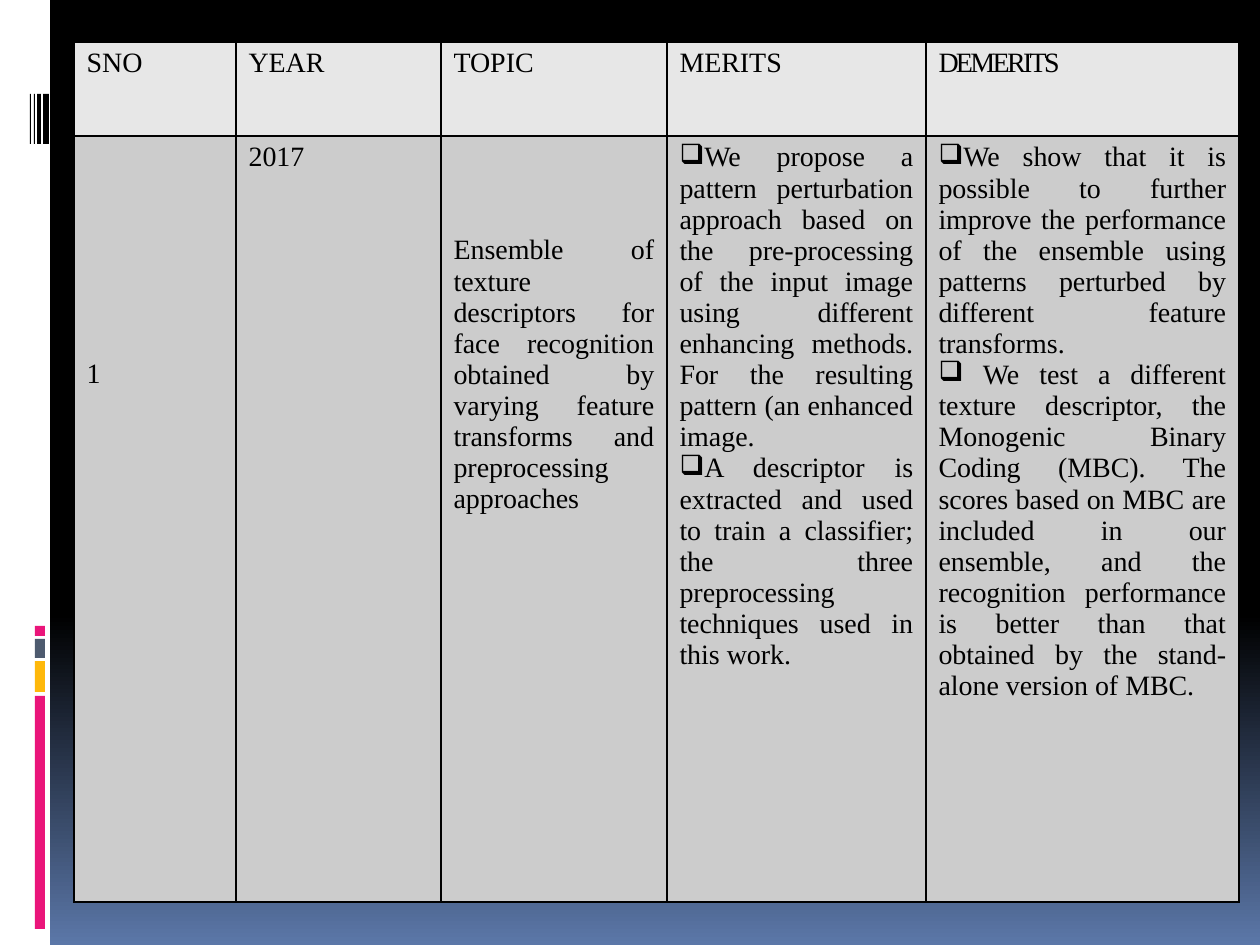
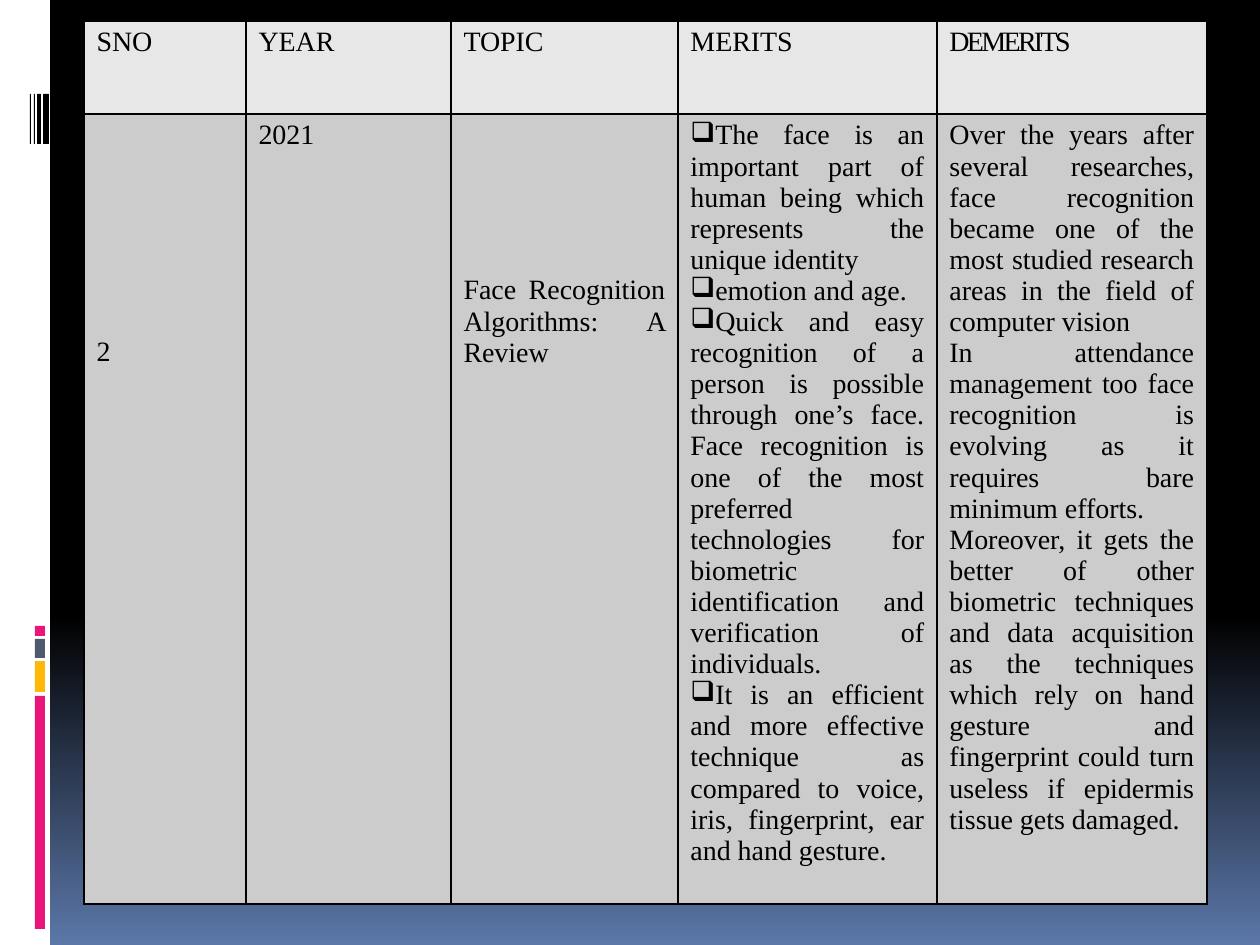
from copy import deepcopy

from lxml import etree
from pptx import Presentation
from pptx.dml.color import RGBColor
from pptx.enum.shapes import MSO_SHAPE
from pptx.enum.text import PP_ALIGN
from pptx.oxml.ns import qn
from pptx.util import Emu, Pt

PX = 914400 // 126
RECT = MSO_SHAPE.RECTANGLE
JUSTIFY = PP_ALIGN.JUSTIFY
BLACK = RGBColor(0x00, 0x00, 0x00)
WHITE = RGBColor(0xFF, 0xFF, 0xFF)
PINK = RGBColor(0xEA, 0x15, 0x7A)
AMBER = RGBColor(0xFE, 0xB8, 0x0A)
SLATE = RGBColor(0x4E, 0x5B, 0x6F)
BLUE = RGBColor(0x5B, 0x77, 0xA8)
HEAD_FILL = RGBColor(0xE7, 0xE7, 0xE7)
BODY_FILL = RGBColor(0xCC, 0xCC, 0xCC)

FONT = {"name": "Times New Roman", "size": Pt(16), "bold": False}
BULLET = "❑"
LINE = 31
INSET = 6
HEADS = ["SNO", "YEAR", "TOPIC", "MERITS", "DEMERITS"]
TIGHT = {"DEMERITS": "-150"}

SURVEYS = [
    {
        "box": (74, 42),
        "cols": [162, 205, 226, 259, 313],
        "rows": [94, 766],
        "skips": [7, 0, 3, 0, 0],
        "cells": [
            ["1"],
            ["2017"],
            ["Ensemble of texture descriptors for face recognition obtained by "
             "varying feature transforms and preprocessing approaches"],
            ["❑We propose a pattern perturbation approach based on the "
             "pre-processing of the input image using different enhancing "
             "methods. For the resulting pattern (an enhanced image.",
             "❑A descriptor is extracted and used to train a classifier; the "
             "three preprocessing techniques used in this work."],
            ["❑We show that it is possible to further improve the performance "
             "of the ensemble using patterns perturbed by different feature "
             "transforms.",
             "❑ We test a different texture descriptor, the Monogenic Binary "
             "Coding (MBC). The scores based on MBC are included in our "
             "ensemble, and the recognition performance is better than that "
             "obtained by the stand-alone version of MBC."],
        ],
    },
    {
        "box": (84, 21),
        "cols": [162, 205, 227, 259, 270],
        "rows": [93, 790],
        "skips": [7, 0, 5, 0, 0],
        "cells": [
            ["2"],
            ["2021"],
            ["Face Recognition Algorithms: A Review"],
            ["❑The face is an important part of human being which represents "
             "the unique identity",
             "❑emotion and age.",
             "❑Quick and easy recognition of a person is possible through "
             "one’s face. Face recognition is one of the most preferred "
             "technologies for biometric identification and verification of "
             "individuals.",
             "❑It is an efficient and more effective technique as compared to "
             "voice, iris, fingerprint, ear and hand gesture."],
            ["Over the years after several researches, face recognition became "
             "one of the most studied research areas in the field of computer "
             "vision",
             "In attendance management too face recognition is evolving as it "
             "requires bare minimum efforts.",
             "Moreover, it gets the better of other biometric techniques and "
             "data acquisition as the techniques which rely on hand gesture "
             "and fingerprint could turn useless if epidermis tissue gets "
             "damaged."],
        ],
    },
]


def px(n):
    """Convert pixels to EMU."""
    return Emu(n * PX)


def paint_background(master):
    """Give every slide the black to blue vertical gradient."""
    fill = master.background.fill
    fill.gradient()
    fill.gradient_angle = 270
    for stop, pos, color in zip(fill.gradient_stops, (0, 1), (BLACK, BLUE)):
        stop.position = pos
        stop.color.rgb = color
    first = master.element.find(".//" + qn("a:gsLst"))[0]
    middle = deepcopy(first)
    middle.set("pos", "65000")
    first.addnext(middle)


def add_bar(s, x, y, w, h, color):
    """Add a plain filled rectangle."""
    sp = s.shapes.add_shape(RECT, px(x), px(y), px(w), px(h))
    sp.shadow.inherit = False
    sp.fill.solid()
    sp.fill.fore_color.rgb = color
    sp.line.fill.background()


def add_side_strip(s, x, y, w, h):
    """Draw the white strip with its coloured bars and black stripes."""
    add_bar(s, x, y, w, h, WHITE)
    for top, height, color in ((696, 233, PINK), (661, 31, AMBER),
                               (639, 19, SLATE), (626, 10, PINK)):
        add_bar(s, x + 35, y + top, 10, height, color)
    for left, width in ((43, 6), (37, 4), (34, 1), (30, 1)):
        add_bar(s, x + left, y + 94, width, 50, BLACK)


def add_borders(cell):
    """Put a thin black line on all four sides of a cell."""
    tcPr = cell._tc.get_or_add_tcPr()
    for side in "LRTB":
        ln = etree.SubElement(tcPr, qn("a:ln" + side), w=str(Pt(1)))
        solid = etree.SubElement(ln, qn("a:solidFill"))
        etree.SubElement(solid, qn("a:srgbClr"), val=str(BLACK))


def write_paragraph(p, text):
    """Write justified text, with a real bullet where it is marked."""
    p.alignment = JUSTIFY
    if text.startswith(BULLET):
        pPr = p._p.get_or_add_pPr()
        pPr.set("marL", "0")
        pPr.set("indent", "0")
        etree.SubElement(pPr, qn("a:buChar"), char=BULLET)
    r = p.add_run()
    r.text = text.removeprefix(BULLET)
    for key, value in FONT.items():
        setattr(r.font, key, value)
    r.font.color.rgb = BLACK
    if text in TIGHT:
        r._r.get_or_add_rPr().set("spc", TIGHT[text])


def fill_cell(cell, texts, color, skip=0):
    """Format a cell and write its text below the skipped lines."""
    add_borders(cell)
    cell.fill.solid()
    cell.fill.fore_color.rgb = color
    cell.margin_top = px(INSET + skip * LINE)
    tf = cell.text_frame
    for i, text in enumerate(texts):
        write_paragraph(tf.add_paragraph() if i else tf.paragraphs[0], text)


def add_survey_table(s, box, cols, rows, skips, cells):
    """Add the table of one reviewed paper."""
    x, y = box
    table = s.shapes.add_table(len(rows), len(cols), px(x), px(y),
                               px(sum(cols)), px(sum(rows))).table
    table.first_row = table.horz_banding = False
    for row, height in zip(table.rows, rows):
        row.height = px(height)
    for i, width in enumerate(cols):
        table.columns[i].width = px(width)
        fill_cell(table.cell(0, i), [HEADS[i]], HEAD_FILL)
        fill_cell(table.cell(1, i), cells[i], BODY_FILL, skips[i])


def main():
    """Build and save the slides."""
    prs = Presentation()
    prs.slide_width, prs.slide_height = px(1260), px(945)
    paint_background(prs.slide_master)
    for survey in SURVEYS:
        s = prs.slides.add_slide(prs.slide_layouts[6])
        add_side_strip(s, 0, 0, 50, 945)
        add_survey_table(s, **survey)
    prs.save("out.pptx")


if __name__ == "__main__":
    main()
